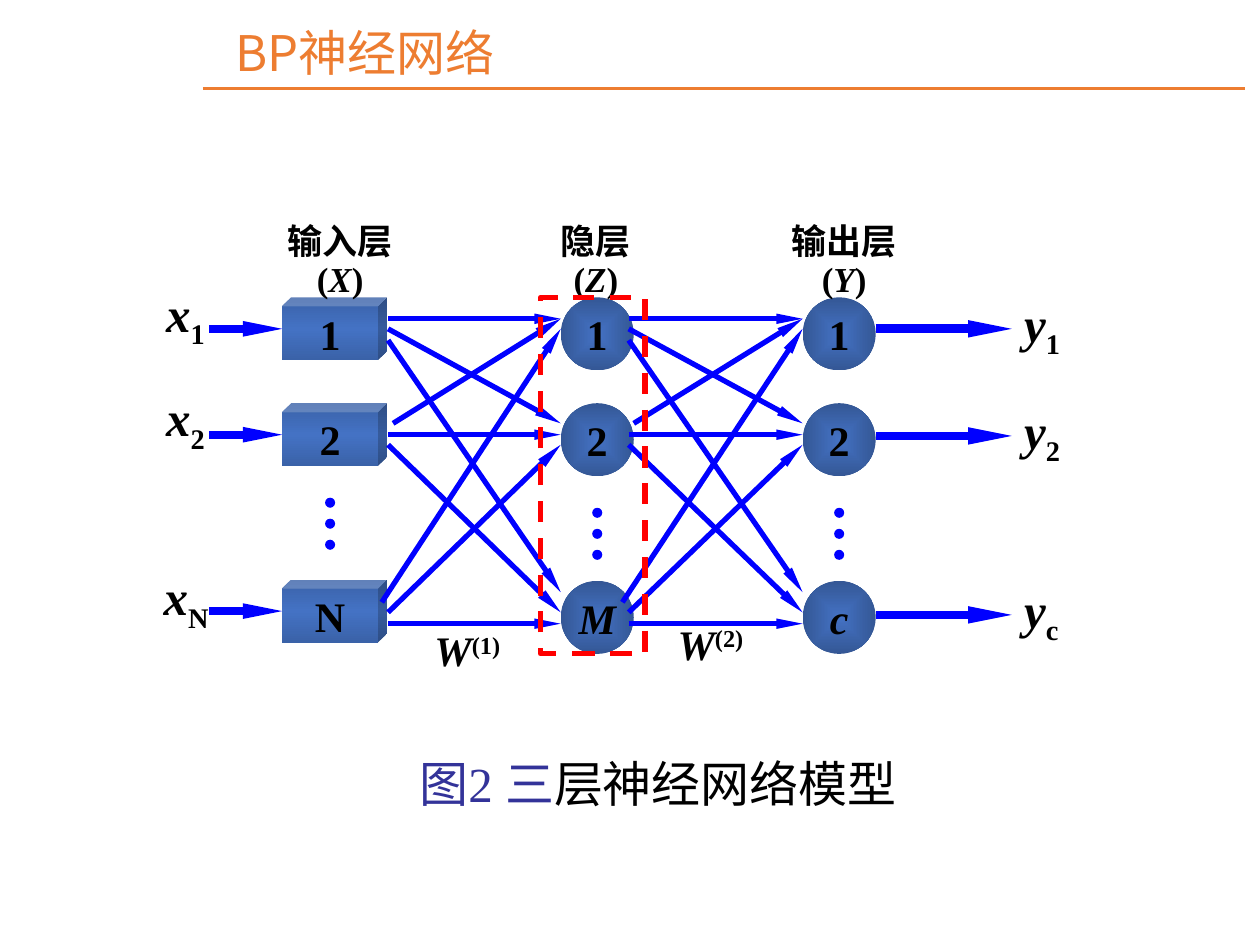
from dataclasses import dataclass

from pptx import Presentation
from pptx.dml.color import RGBColor
from pptx.enum.dml import MSO_LINE
from pptx.enum.shapes import MSO_CONNECTOR, MSO_SHAPE
from pptx.enum.text import MSO_ANCHOR, MSO_AUTO_SIZE, PP_ALIGN
from pptx.oxml import parse_xml
from pptx.oxml.ns import nsdecls, qn
from pptx.util import Inches, Pt


@dataclass(frozen=True)
class Theme:
    accent: str = "ED7D31"
    arrow: str = "0000FF"
    frame: str = "FF0000"
    caption: str = "333399"
    ink: str = "000000"
    node_mid: str = "4472C4"
    cube_edge: str = "3A62A8"
    circle_edge: str = "345795"
    latin: str = "Times New Roman"
    cjk: str = "Noto Sans CJK SC"
    big: int = 28
    node: int = 24
    label: int = 20


@dataclass(frozen=True)
class Run:
    text: str
    italic: bool = False
    baseline: int = 0  # percent; negative for a subscript
    color: str = Theme.ink
    bold: bool = True
    latin: str = Theme.latin


@dataclass(frozen=True)
class Layer:
    name: str
    symbol: str
    label_x: float
    label_w: float
    x: float
    w: float
    h: float
    tops: tuple[float, ...]
    nodes: tuple[Run, ...]
    dots_x: float
    dots_y: float
    cube: bool = False


@dataclass(frozen=True)
class Link:
    y1: float
    y2: float
    nudge: float = 0  # shift of the starting point


@dataclass(frozen=True)
class Port:
    runs: tuple[Run, ...]
    x: float
    y: float
    w: float
    arrow_y: float


T = Theme()
ROWS = (2.36, 3.2, 4.61)
LAYERS = (
    Layer("输入层", "X", 2.28, 0.84, 2.24, 0.83, 0.5, (2.36, 3.2, 4.6),
          (Run("1"), Run("2"), Run("N")), 2.58, 3.95, cube=True),
    Layer("隐层", "Z", 4.45, 0.56, 4.45, 0.58, 0.58, ROWS,
          (Run("1"), Run("2"), Run("M", True)), 4.7, 4.03),
    Layer("输出层", "Y", 6.28, 0.84, 6.37, 0.58, 0.58, ROWS,
          (Run("1"), Run("2"), Run("c", True)), 6.62, 4.03),
)
LINKS = (
    Link(2.53, 2.53), Link(3.45, 3.45), Link(4.95, 4.95),
    Link(2.61, 3.36), Link(2.7, 4.7), Link(3.53, 4.86),
    Link(3.36, 2.53, 0.04), Link(4.86, 3.53), Link(4.78, 2.61, -0.05),
)
INPUTS = tuple(
    Port((Run("x", True), Run(sub, baseline=-25)), x, y, w, ay)
    for sub, x, y, w, ay in (("1", 1.22, 2.2, 0.53, 2.61),
                             ("2", 1.22, 3.03, 0.53, 3.45),
                             ("N", 1.2, 4.45, 0.59, 4.85)))
OUTPUTS = tuple(
    Port((Run("y", True), Run(sub, baseline=-25)), 8.03, y, w, ay)
    for sub, y, w, ay in (("1", 2.28, 0.51, 2.61),
                          ("2", 3.13, 0.51, 3.46),
                          ("c", 4.55, 0.49, 4.88)))


def rgb(color: str) -> RGBColor:
    return RGBColor.from_string(color)


def box(x: float, y: float, w: float, h: float) -> tuple:
    return Inches(x), Inches(y), Inches(w), Inches(h)


def add_runs(p, runs, size: int) -> None:
    for run in runs:
        r = p.add_run()
        r.text = run.text
        f = r.font
        f.name, f.size, f.bold, f.italic = run.latin, Pt(size), run.bold, run.italic
        f.color.rgb = rgb(run.color)
        rPr = r._r.get_or_add_rPr()
        if run.baseline:
            rPr.set("baseline", str(run.baseline * 1000))
        rPr.find(qn("a:latin")).addnext(
            parse_xml(f'<a:ea {nsdecls("a")} typeface="{T.cjk}"/>'))


def add_text(s, at: tuple, lines, size: int, wrap: bool = False):
    tf = s.shapes.add_textbox(*box(*at)).text_frame
    tf.word_wrap = wrap
    tf.auto_size = MSO_AUTO_SIZE.SHAPE_TO_FIT_TEXT
    for i, runs in enumerate(lines):
        p = tf.add_paragraph() if i else tf.paragraphs[0]
        add_runs(p, runs, size)
    return tf


def set_margins(tf, side: float) -> None:
    tf.margin_left = tf.margin_right = Inches(side)
    tf.margin_top = tf.margin_bottom = 0


def add_line(s, x1, y1, x2, y2, color: str, width: float, arrow: bool = True) -> None:
    c = s.shapes.add_connector(MSO_CONNECTOR.STRAIGHT, Inches(x1), Inches(y1),
                               Inches(x2), Inches(y2))
    c.line.color.rgb = rgb(color)
    c.line.width = Pt(width)
    if arrow:
        c.line._get_or_add_ln().append(parse_xml(
            f'<a:tailEnd {nsdecls("a")} type="triangle" w="sm" len="lg"/>'))
    c._element.spPr.append(parse_xml(f'<a:effectLst {nsdecls("a")}/>'))


def add_plain(s, kind, at: tuple):
    sp = s.shapes.add_shape(kind, *box(*at))
    sp.shadow.inherit = False
    sp.line.fill.background()
    return sp


def set_gradient(sp, stops, direction: str) -> None:
    gs = "".join(f'<a:gs pos="{pos * 1000}"><a:srgbClr val="{color}"/></a:gs>'
                 for pos, color in stops)
    sp._element.spPr.find(qn("a:prstGeom")).addnext(parse_xml(
        f'<a:gradFill {nsdecls("a")} rotWithShape="1"><a:gsLst>{gs}</a:gsLst>'
        f'{direction}</a:gradFill>'))


def add_node(s, layer: Layer, top: float, run: Run) -> None:
    kind = MSO_SHAPE.CUBE if layer.cube else MSO_SHAPE.OVAL
    sp = add_plain(s, kind, (layer.x, top, layer.w, layer.h))
    tf = sp.text_frame
    if layer.cube:
        sp.adjustments[0] = 0.142
        set_gradient(sp, ((0, T.cube_edge), (50, T.node_mid), (100, T.cube_edge)),
                     '<a:lin ang="5400000" scaled="1"/>')
        set_margins(tf, 0.02)
    else:
        set_gradient(sp, ((0, T.node_mid), (100, T.circle_edge)),
                     '<a:path path="shape"><a:fillToRect l="50000" t="50000" '
                     'r="50000" b="50000"/></a:path>')
    tf.word_wrap = False
    tf.vertical_anchor = MSO_ANCHOR.MIDDLE
    tf.paragraphs[0].alignment = PP_ALIGN.CENTER
    add_runs(tf.paragraphs[0], [run], T.node)


def add_layer(s, layer: Layer) -> None:
    for top, run in zip(layer.tops, layer.nodes):
        add_node(s, layer, top, run)
    for i in range(3):
        dot = add_plain(s, MSO_SHAPE.FLOWCHART_CONNECTOR,
                        (layer.dots_x, layer.dots_y + i / 6, 0.08, 0.08))
        dot.fill.solid()
        dot.fill.fore_color.rgb = rgb(T.arrow)
    tf = add_text(s, (layer.label_x, 1.78, layer.label_w, 0.6),
                  [[Run(layer.name)], [Run("("), Run(layer.symbol, True), Run(")")]],
                  T.label)
    set_margins(tf, 0)
    for p in tf.paragraphs:
        p.alignment, p.line_spacing = PP_ALIGN.CENTER, 0.9


def main() -> None:
    prs = Presentation()
    prs.slide_width, prs.slide_height = Inches(10), Inches(7.5)
    s = prs.slides.add_slide(prs.slide_layouts[5])

    # Title and rule
    title = s.shapes.title
    title.left, title.top, title.width, title.height = box(1.77, 0.13, 7.64, 0.57)
    title.text_frame.vertical_anchor = MSO_ANCHOR.TOP
    p = title.text_frame.paragraphs[0]
    p.alignment = PP_ALIGN.LEFT
    add_runs(p, [Run("BP神经网络", color=T.accent, bold=False, latin=T.cjk)], T.big)
    add_line(s, 1.61, 0.7, 9.88, 0.7, T.accent, 1.5, arrow=False)

    # Layers, then the weights between them
    for layer in LAYERS:
        add_layer(s, layer)
    for start, end in ((3.08, 4.45), (4.99, 6.37)):
        for link in LINKS:
            add_line(s, start + link.nudge, link.y1, end, link.y2, T.arrow, 3)
    for x, y, sup in ((3.35, 4.91, "(1)"), (5.28, 4.86, "(2)")):
        add_text(s, (x, y, 0.76, 0.5), [[Run("W", True), Run(sup, baseline=30)]], T.node)

    # Inputs and outputs
    for ports, x1, x2, width in ((INPUTS, 1.66, 2.24, 4.5), (OUTPUTS, 6.95, 8.03, 5)):
        for port in ports:
            add_line(s, x1, port.arrow_y, x2, port.arrow_y, T.arrow, width)
            add_text(s, (port.x, port.y, port.w, 0.57), [port.runs], T.big)

    # Frame around the hidden layer
    frame = add_plain(s, MSO_SHAPE.RECTANGLE, (4.29, 2.36, 0.83, 2.83))
    frame.fill.background()
    frame.line.color.rgb = rgb(T.frame)
    frame.line.width = Pt(3)
    frame.line.dash_style = MSO_LINE.DASH

    # Caption
    tf = add_text(s, (2.98, 5.93, 4.43, 0.57),
                  [[Run("图2 三", color=T.caption, bold=False),
                    Run("层神经网络模型", bold=False)]], T.big, wrap=True)
    tf.margin_left = Inches(0.35)

    prs.save("out.pptx")


if __name__ == "__main__":
    main()
